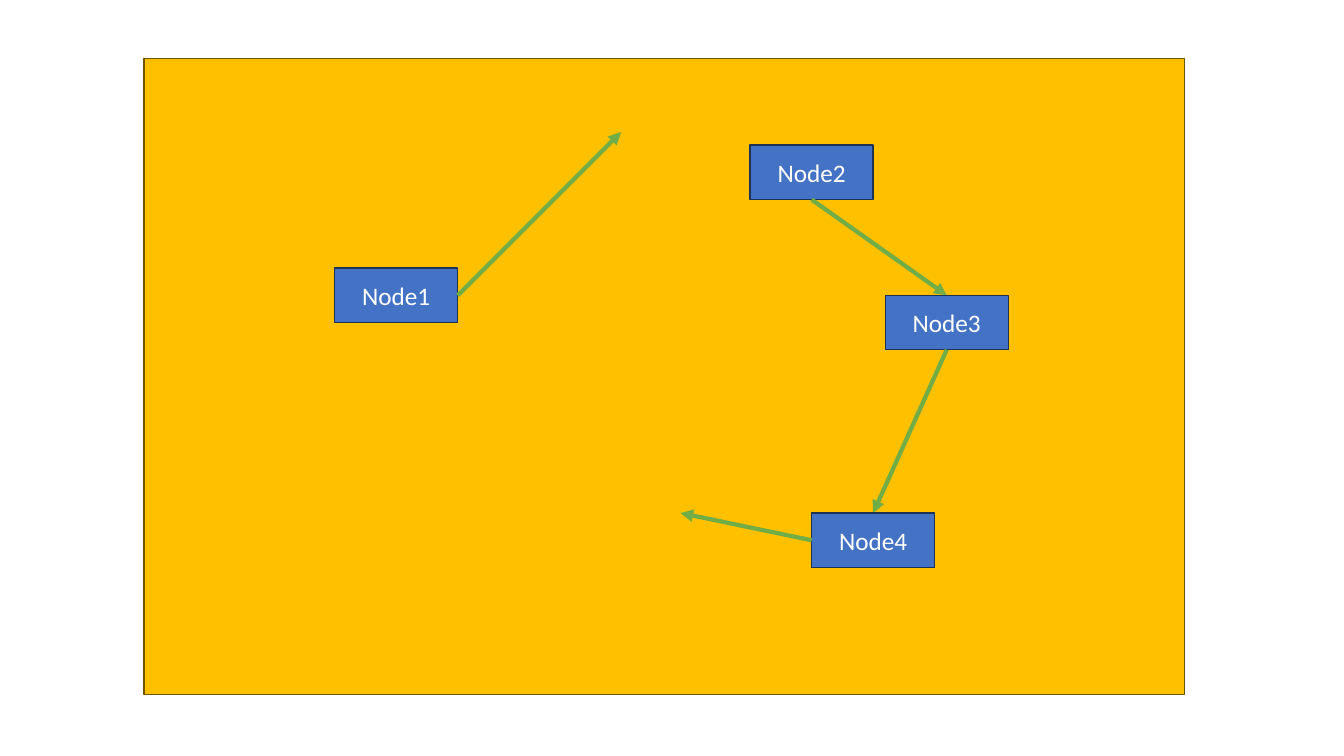
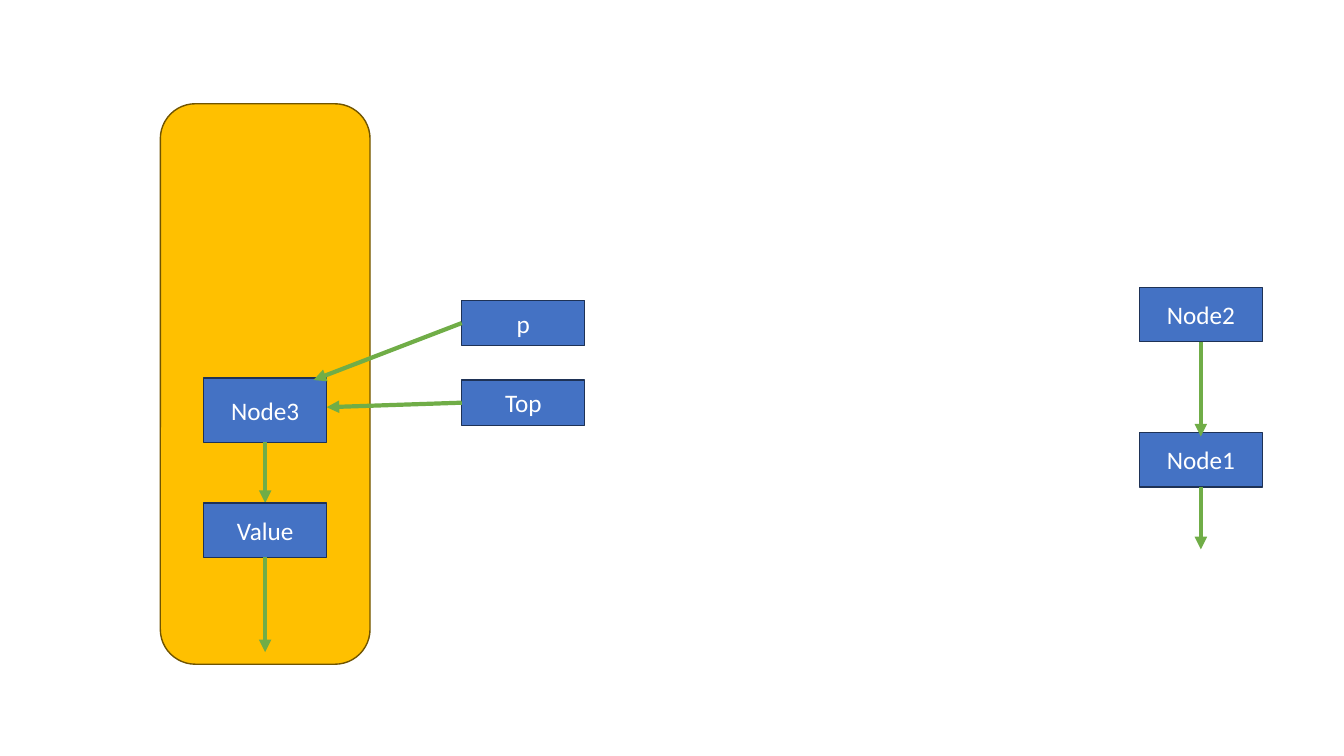
from lxml.etree import SubElement
from pptx import Presentation
from pptx.dml.color import RGBColor
from pptx.enum.shapes import MSO_CONNECTOR, MSO_SHAPE
from pptx.enum.text import MSO_ANCHOR, PP_ALIGN
from pptx.oxml.ns import qn
from pptx.util import Pt

PX = 9144
SLIDE_WIDTH, SLIDE_HEIGHT = 1333, 750
NODE_WIDTH, NODE_HEIGHT, POINTER_HEIGHT = 122, 54, 45
BLANK_LAYOUT = 6

AMBER = RGBColor(0xFF, 0xC0, 0x00)
AMBER_EDGE = RGBColor(0x70, 0x54, 0x00)
BLUE = RGBColor(0x44, 0x72, 0xC4)
BLUE_EDGE = RGBColor(0x1E, 0x32, 0x56)
GREEN = RGBColor(0x70, 0xAD, 0x47)
WHITE = RGBColor(0xFF, 0xFF, 0xFF)

NODE_FONT = {"name": "Calibri", "size": Pt(18)}
SITES = {"top": 0, "left": 1, "bottom": 2, "right": 3}

HEAP_NODES = [
    ("Node1", 332, 266, NODE_HEIGHT, "right", (616, 131)),
    ("Node2", 744, 144, NODE_HEIGHT, "bottom", (939, 293)),
    ("Node3", 878, 293, NODE_HEIGHT, "bottom", (866, 509)),
    ("Node4", 805, 509, NODE_HEIGHT, "left", (675, 509)),
]
STACK_NODES = [
    ("Node1", 1130, 429, NODE_HEIGHT, "bottom", (1191, 545)),
    ("Node2", 1130, 285, NODE_HEIGHT, "bottom", (1191, 433)),
    ("Top", 458, 377, POINTER_HEIGHT, "left", (324, 404)),
    ("Node3", 202, 375, 64, "bottom", (263, 499)),
    ("Value", 202, 499, NODE_HEIGHT, "bottom", (263, 647)),
    ("p", 458, 298, POINTER_HEIGHT, "left", (311, 377)),
]


def emu(*lengths):
    return [round(length * PX) for length in lengths]


def add_block(shapes, kind, bounds, fill, edge):
    block = shapes.add_shape(kind, *emu(*bounds))
    block.shadow.inherit = False
    block.fill.solid()
    block.fill.fore_color.rgb = fill
    block.line.color.rgb = edge
    block.line.width = Pt(1)
    return block


def write_label(box, text):
    frame = box.text_frame
    frame.vertical_anchor = MSO_ANCHOR.MIDDLE
    para = frame.paragraphs[0]
    para.alignment = PP_ALIGN.CENTER
    span = para.add_run()
    span.text = text
    for name, value in NODE_FONT.items():
        setattr(span.font, name, value)
    span.font.color.rgb = WHITE


def add_arrow(shapes, box, side, start, end):
    arrow = shapes.add_connector(MSO_CONNECTOR.STRAIGHT, *emu(*start, *end))
    arrow.begin_connect(box, SITES[side])
    arrow.line.color.rgb = GREEN
    arrow.line.width = Pt(3)
    SubElement(arrow.line._get_or_add_ln(), qn("a:tailEnd"), type="triangle")
    SubElement(arrow._element.spPr, qn("a:effectLst"))


def add_node(page, text, left, top, height, side, target):
    group = page.shapes.add_group_shape()
    bounds = (left, top, NODE_WIDTH, height)
    box = add_block(group.shapes, MSO_SHAPE.RECTANGLE, bounds, BLUE, BLUE_EDGE)
    write_label(box, text)
    middle = top + height / 2
    starts = {
        "left": (left, middle),
        "right": (left + NODE_WIDTH, middle),
        "bottom": (left + NODE_WIDTH / 2, top + height),
    }
    add_arrow(group.shapes, box, side, starts[side], target)


def add_memory_page(deck, kind, bounds, nodes):
    page = deck.slides.add_slide(deck.slide_layouts[BLANK_LAYOUT])
    add_block(page.shapes, kind, bounds, AMBER, AMBER_EDGE)
    for node in nodes:
        add_node(page, *node)


def main():
    deck = Presentation()
    deck.slide_width, deck.slide_height = emu(SLIDE_WIDTH, SLIDE_HEIGHT)
    add_memory_page(deck, MSO_SHAPE.RECTANGLE, (143, 58, 1032, 631), HEAP_NODES)
    add_memory_page(deck, MSO_SHAPE.ROUNDED_RECTANGLE, (159, 103, 208, 556), STACK_NODES)
    deck.save("out.pptx")


if __name__ == "__main__":
    main()
